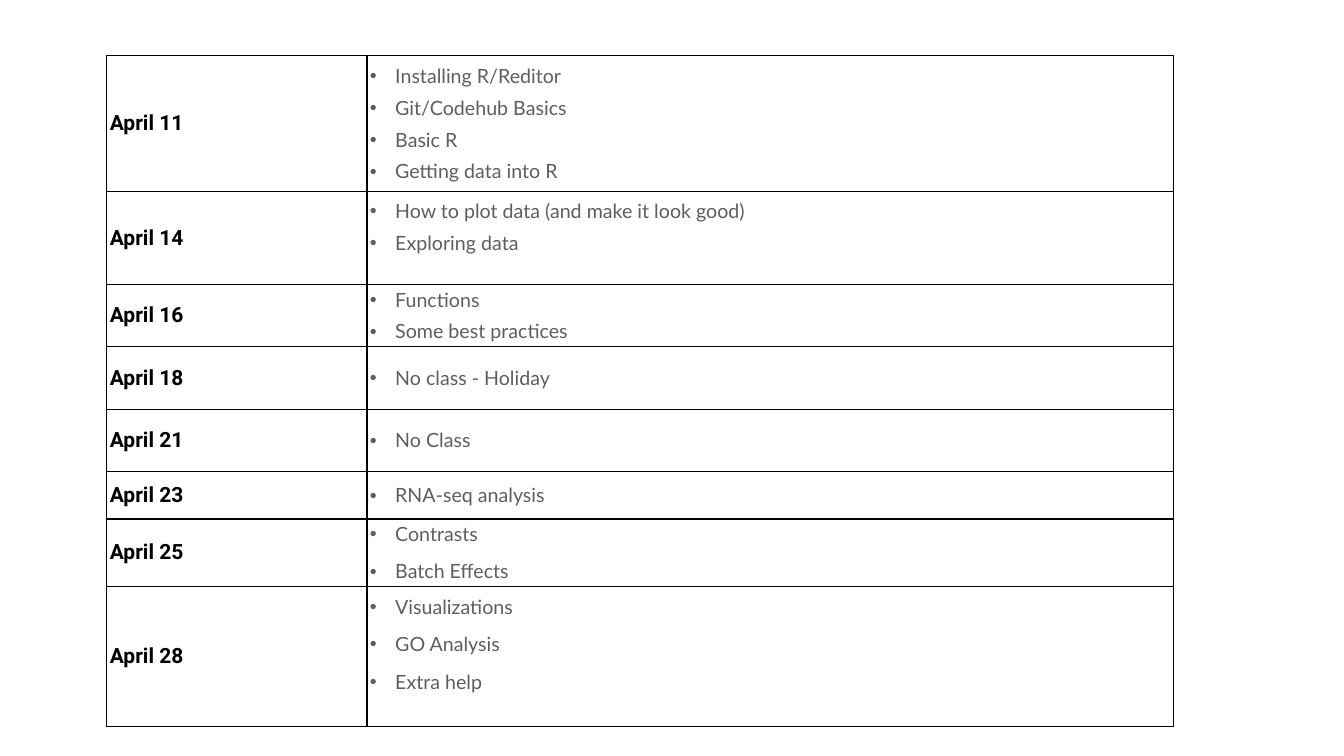
"""Build a course schedule slide with a two-column table of dates and topics."""
from lxml import etree
from pptx import Presentation
from pptx.dml.color import RGBColor
from pptx.enum.text import MSO_ANCHOR
from pptx.oxml.ns import qn
from pptx.util import Inches, Pt

MIDDLE = MSO_ANCHOR.MIDDLE
COLORS = {"date": "000000", "topic": "5E5E5E", "cell": "FFFFFF", "border": "000000"}

# Date, row height, space between topics, extra room below, topics
SCHEDULE = [
    ("April 11", 1.35, 6, 0, ["Installing R/Reditor", "Git/Codehub Basics",
                              "Basic R", "Getting data into R"]),
    ("April 14", 0.92, 6, 0.22, ["How to plot data (and make it look good)",
                                 "Exploring data"]),
    ("April 16", 0.62, 6, 0, ["Functions", "Some best practices"]),
    ("April 18", 0.62, 6, 0, ["No class - Holiday"]),
    ("April 21", 0.62, 6, 0, ["No Class"]),
    ("April 23", 0.47, 10, 0, ["RNA-seq analysis"]),
    ("April 25", 0.66, 10, 0, ["Contrasts", "Batch Effects"]),
    ("April 28", 1.39, 10, 0.24, ["Visualizations", "GO Analysis", "Extra help"]),
]
LEFT, TOP = 1.06, 0.55
COLUMN_WIDTHS = [2.58, 8]
INSET = 0.03
INDENT = 0.25
BORDER_WIDTH = 1


def add_borders(cell):
    """Draw a solid line on all four sides of a cell."""
    properties = cell._tc.get_or_add_tcPr()
    for position, side in enumerate(("a:lnL", "a:lnR", "a:lnT", "a:lnB")):
        line = etree.Element(qn(side), w=str(Pt(BORDER_WIDTH)))
        fill = etree.SubElement(line, qn("a:solidFill"))
        etree.SubElement(fill, qn("a:srgbClr"), val=COLORS["border"])
        properties.insert(position, line)


def format_cell(cell, extra_bottom=0):
    """Set the margins, anchor, fill and borders of a cell."""
    cell.margin_left = cell.margin_right = cell.margin_top = Inches(INSET)
    cell.margin_bottom = Inches(INSET + extra_bottom)
    cell.vertical_anchor = MIDDLE
    cell.fill.solid()
    cell.fill.fore_color.rgb = RGBColor.from_string(COLORS["cell"])
    add_borders(cell)


def add_text(paragraph, text, font_name, size, color, bold):
    """Add one formatted run to a paragraph."""
    run = paragraph.add_run()
    run.text = text
    run.font.name = font_name
    run.font.size = Pt(size)
    run.font.bold = bold
    run.font.color.rgb = RGBColor.from_string(COLORS[color])


def add_topics(cell, topics, gap):
    """Fill a cell with a bulleted list."""
    for index, topic in enumerate(topics):
        frame = cell.text_frame
        paragraph = frame.add_paragraph() if index else frame.paragraphs[0]
        paragraph.space_before = Pt(gap if index else 0)
        properties = paragraph._p.get_or_add_pPr()
        properties.set("marL", str(Inches(INDENT)))
        properties.set("indent", str(-Inches(INDENT)))
        etree.SubElement(properties, qn("a:buFont"), typeface="Arial")
        etree.SubElement(properties, qn("a:buChar"), char="•")
        add_text(paragraph, topic, "Lato", 14, "topic", False)


def main():
    """Create the slide and save it."""
    presentation = Presentation()
    presentation.slide_width, presentation.slide_height = Inches(13.33), Inches(7.5)
    slide = presentation.slides.add_slide(presentation.slide_layouts[6])
    height = sum(row[1] for row in SCHEDULE)
    table = slide.shapes.add_table(
        len(SCHEDULE), len(COLUMN_WIDTHS), Inches(LEFT), Inches(TOP),
        Inches(sum(COLUMN_WIDTHS)), Inches(height)).table
    table.first_row = table.horz_banding = False
    for column, width in zip(table.columns, COLUMN_WIDTHS):
        column.width = Inches(width)
    for index, (date, row_height, gap, extra_bottom, topics) in enumerate(SCHEDULE):
        table.rows[index].height = Inches(row_height)
        date_cell, topic_cell = table.cell(index, 0), table.cell(index, 1)
        format_cell(date_cell)
        format_cell(topic_cell, extra_bottom)
        add_text(date_cell.text_frame.paragraphs[0], date, "Roboto", 15, "date", True)
        add_topics(topic_cell, topics, gap)
    presentation.save("out.pptx")


if __name__ == "__main__":
    main()
